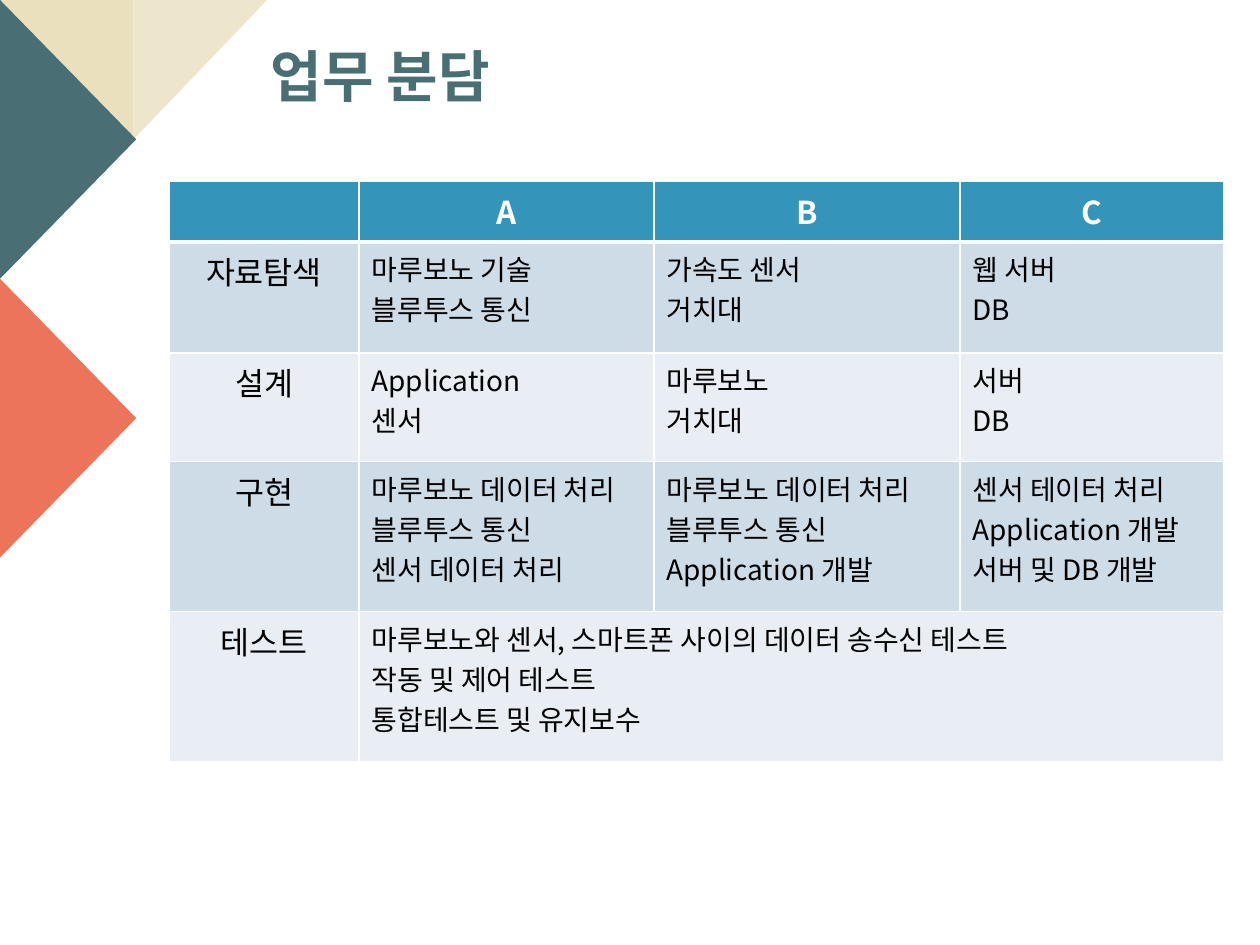
from lxml.etree import SubElement as Sub
from pptx import Presentation
from pptx.dml.color import RGBColor
from pptx.enum.shapes import MSO_SHAPE as Geo
from pptx.enum.text import MSO_ANCHOR as Anchor, PP_ALIGN as Align
from pptx.oxml.ns import qn
from pptx.util import Inches, Pt

FONT = "Noto Sans CJK KR"
WIDE, HIGH = Inches(10), Inches(7.5)
TEAL, CORAL, WHITE = "496F74", "EC745B", "FFFFFF"
HEAD, BANDS = "3494BA", ("CEDCE7", "E8EEF3")
COLS = (1.51, 2.34, 2.43, 2.09)
ROWS = (0.48, 0.88, 0.86, 1.19, 1.19)
TASKS = (
    ("", "A", "B", "C"),
    ("자료탐색", "마루보노 기술\n블루투스 통신", "가속도 센서\n거치대", "웹 서버\nDB"),
    ("설계", "Application\n센서", "마루보노\n거치대", "서버\nDB"),
    ("구현", "마루보노 데이터 처리\n블루투스 통신\n센서 데이터 처리",
     "마루보노 데이터 처리\n블루투스 통신\nApplication 개발",
     "센서 테이터 처리\nApplication 개발\n서버 및 DB 개발"),
    ("테스트", "마루보노와 센서, 스마트폰 사이의 데이터 송수신 테스트\n"
     "작동 및 제어 테스트\n통합테스트 및 유지보수"),
)


def tint(code):
    return RGBColor.from_string(code)


def style(frame, text, color, para, **font):
    """Write the text and format each paragraph and run."""
    frame.text = text
    for line in frame.paragraphs:
        for key, value in para.items():
            setattr(line, key, value)
        for run in line.runs:
            for key, value in {"name": FONT, **font}.items():
                setattr(run.font, key, value)
            run.font.color.rgb = tint(color)
            Sub(run.font._element, qn("a:ea"), typeface=FONT)


def place(item, box):
    for key, value in zip(("left", "top", "width", "height"), box):
        setattr(item, key, int(value))


def wedge(slide, kind, box, color, turn, flip=False):
    shape = slide.shapes.add_shape(kind, *map(int, box))
    shape.shadow.inherit = False
    shape.rotation = turn
    shape.fill.solid()
    shape.fill.fore_color.rgb = tint(color)
    shape.line.fill.background()
    if flip:
        shape._element.spPr.xfrm.set("flipH", "1")


def corner(slide, left, top, wide, high):
    """Two pale wedges on top, two arrows down the left edge."""
    half, drop = wide / 2, high * 0.25
    for col, color in enumerate(("EAE0BE", "EEE6CC")):
        box = left + col * half, top, half, drop
        wedge(slide, Geo.RIGHT_TRIANGLE, box, color, 180, col == 1)
    # Turned a quarter, each arrow is as tall as its base
    base, tall = high / 2, wide * 0.51
    for row, color in enumerate((TEAL, CORAL)):
        mid = top + base * (row + 0.5)
        box = left + (tall - base) / 2, mid - tall / 2, base, tall
        wedge(slide, Geo.ISOSCELES_TRIANGLE, box, color, 90)


def title(slide, *box):
    head = slide.shapes.title
    place(head, box)
    para = {"alignment": Align.LEFT, "line_spacing": 0.9, "space_before": Pt(10)}
    style(head.text_frame, "업무 분담", TEAL, para, size=Pt(32), bold=True)
    head.text_frame.vertical_anchor = Anchor.MIDDLE


def edge(cell, row):
    """White rules, thick between the header and the body."""
    thick = {"T": 3 if row == 1 else 1, "B": 3 if row == 0 else 1}
    for side in "LRTB":
        rule = Sub(cell._tc.get_or_add_tcPr(), qn(f"a:ln{side}"),
                   w=str(Pt(thick.get(side, 1))))
        Sub(Sub(rule, qn("a:solidFill")), qn("a:srgbClr"), val=WHITE)


def grid(slide, *box):
    wide, high = box[2:]
    table = slide.shapes.add_table(len(ROWS), len(COLS), *map(int, box)).table
    for col, part in zip(table.columns, COLS):
        col.width = int(wide * part / sum(COLS))
    for row, part in zip(table.rows, ROWS):
        row.height = int(high * part / sum(ROWS))
    for r in range(len(ROWS)):
        for c in range(len(COLS)):
            cell = table.cell(r, c)
            edge(cell, r)
            cell.fill.solid()
            cell.fill.fore_color.rgb = tint(BANDS[(r - 1) % 2] if r else HEAD)
            if c < len(TASKS[r]):
                label = r == 0 or c == 0
                para = {"alignment": Align.CENTER if label else Align.LEFT}
                style(cell.text_frame, TASKS[r][c], "000000" if r else WHITE, para,
                      size=Pt(18 if label else 16), bold=r == 0)
    # The last task is shared by everyone
    table.cell(4, 1).merge(table.cell(4, 3))


def main():
    deck = Presentation()
    deck.slide_width, deck.slide_height = WIDE, HIGH
    slide = deck.slides.add_slide(deck.slide_layouts[5])
    corner(slide, 0, 0, WIDE * 0.212, HIGH * 0.59)
    title(slide, WIDE * 0.205, HIGH * 0.044, WIDE * 0.552, HIGH * 0.079)
    grid(slide, WIDE * 0.134, HIGH * 0.192, WIDE * 0.837, HIGH * 0.614)
    deck.save("out.pptx")


if __name__ == "__main__":
    main()
